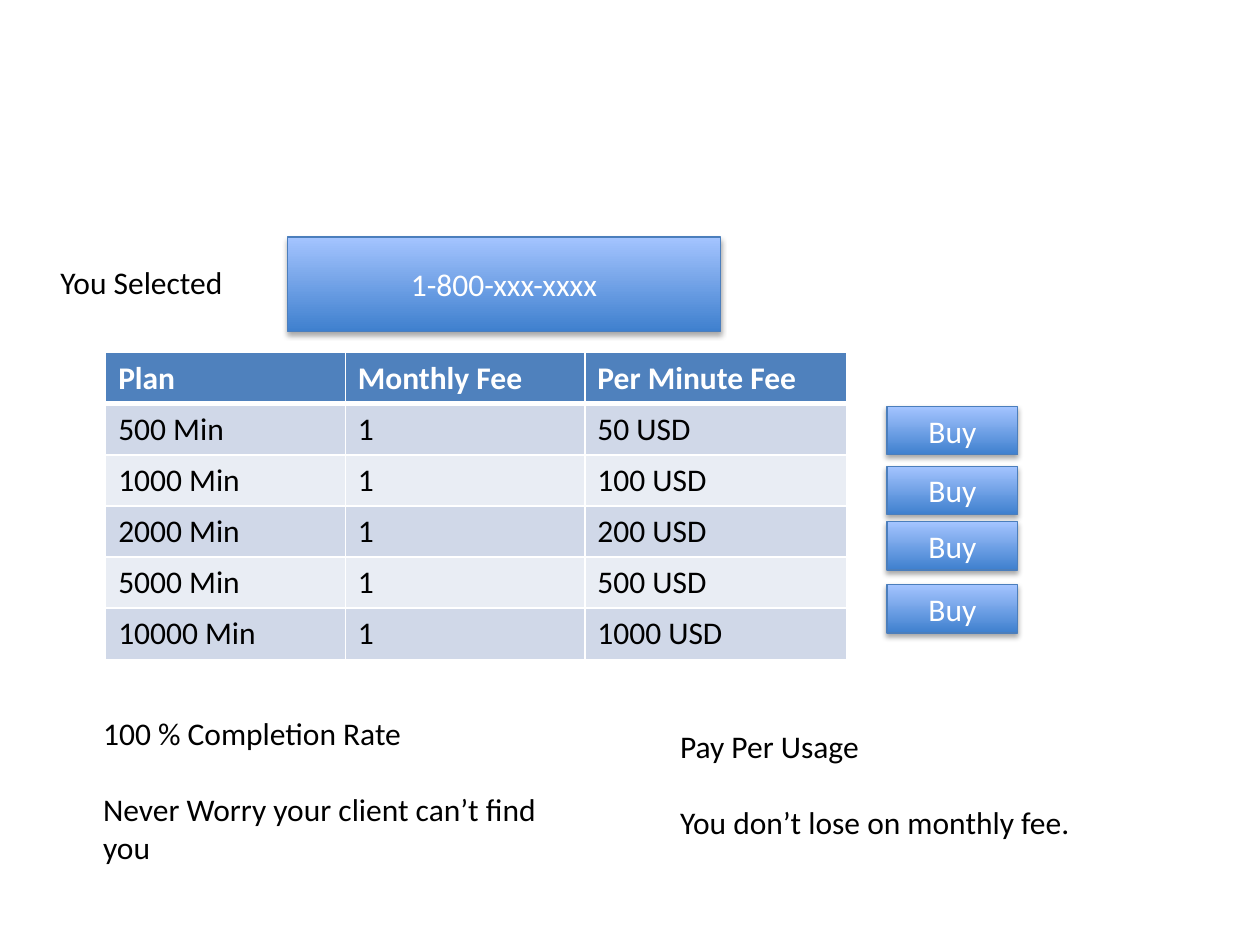
from dataclasses import dataclass

from lxml.etree import SubElement
from pptx import Presentation
from pptx.dml.color import RGBColor
from pptx.enum.shapes import MSO_SHAPE as Preset
from pptx.enum.text import MSO_ANCHOR as Anchor, MSO_AUTO_SIZE as AutoSize, PP_ALIGN as Align
from pptx.oxml import parse_xml
from pptx.oxml.ns import nsdecls, qn
from pptx.slide import Slide
from pptx.util import Cm, Pt


@dataclass(frozen=True)
class Theme:
    """Colours, font and sizes used on the page."""
    font: str = "Calibri"
    size: int = 18
    text: str = "000000"
    light: str = "FFFFFF"
    button_low: str = "3F80CE"
    button_high: str = "A4C4FF"
    button_line: str = "4B7EBC"
    header: str = "4F81BD"
    bands: tuple[str, str] = ("D0D8E8", "E9EDF4")


@dataclass(frozen=True)
class Block:
    """A piece of text with its place in centimetres."""
    text: str
    left: float
    top: float
    width: float
    height: float
    wrap: bool = True


THEME = Theme()
NOTES = [
    Block("You Selected", 0.97, 5.18, 3.86, 1.02, wrap=False),
    Block("100 % Completion Rate\nNever Worry your client can’t find you", 1.83, 14.27, 9.32, 3.33),
    Block("Pay Per Usage\nYou don’t lose on monthly fee.", 13.46, 14.53, 9.32, 2.57),
]
BUTTONS = [Block("1-800-xxx-xxxx", 5.79, 4.78, 8.74, 1.9)] + [
    Block("Buy", 17.88, top, 2.64, 0.97) for top in (8.2, 9.4, 10.52, 11.79)
]
PLANS = [
    ("Plan", "Monthly Fee", "Per Minute Fee"),
    ("500 Min", "1", "50 USD"),
    ("1000 Min", "1", "100 USD"),
    ("2000 Min", "1", "200 USD"),
    ("5000 Min", "1", "500 USD"),
    ("10000 Min", "1", "1000 USD"),
]
COLUMN_WIDTHS = (4.83, 4.83, 5.28)
ROW_HEIGHT = 1.03


def colour(value: str) -> RGBColor:
    """Turn a hex string into a colour."""
    return RGBColor.from_string(value)


def format_text(frame, value: str, bold: bool = False) -> None:
    """Give every run in a text frame the theme font."""
    for para in frame.paragraphs:
        for span in para.runs:
            span.font.name = THEME.font
            span.font.size = Pt(THEME.size)
            span.font.bold = bold
            span.font.color.rgb = colour(value)


def bounds(block: Block) -> tuple:
    """Return left, top, width and height as lengths."""
    return Cm(block.left), Cm(block.top), Cm(block.width), Cm(block.height)


def add_note(page: Slide, block: Block) -> None:
    """Add plain text, with one line of space between paragraphs."""
    frame = page.shapes.add_textbox(*bounds(block)).text_frame
    frame.word_wrap = block.wrap
    frame.auto_size = AutoSize.SHAPE_TO_FIT_TEXT
    frame.text = block.text
    for para in frame.paragraphs[1:]:
        para.space_before = Pt(22)
    format_text(frame, THEME.text)


def add_shadow(shape) -> None:
    """Add a soft shadow straight below a shape."""
    shape.shadow.inherit = False
    effects = shape._element.spPr.find(qn("a:effectLst"))
    shadow = SubElement(effects, qn("a:outerShdw"), blurRad=str(Pt(3.1)),
                        dist=str(Pt(1.8)), dir="5400000", rotWithShape="0")
    tint = SubElement(shadow, qn("a:srgbClr"), val=THEME.text)
    SubElement(tint, qn("a:alpha"), val="35000")


def add_button(page: Slide, block: Block) -> None:
    """Add a gradient button with a centred label."""
    button = page.shapes.add_shape(Preset.RECTANGLE, *bounds(block))
    button.fill.gradient()
    button.fill.gradient_angle = 90
    for stop, value in zip(button.fill.gradient_stops, (THEME.button_low, THEME.button_high)):
        stop.color.rgb = colour(value)
    button.line.color.rgb = colour(THEME.button_line)
    button.line.width = Pt(0.75)
    add_shadow(button)
    frame = button.text_frame
    frame.text = block.text
    frame.vertical_anchor = Anchor.MIDDLE
    frame.paragraphs[0].alignment = Align.CENTER
    format_text(frame, THEME.light)


def set_borders(cell, top: float, bottom: float) -> None:
    """Draw light borders around a table cell, widths in points."""
    properties = cell._tc.get_or_add_tcPr()
    widths = {"lnL": 1, "lnR": 1, "lnT": top, "lnB": bottom}
    for index, (side, width) in enumerate(widths.items()):
        properties.insert(index, parse_xml(
            f'<a:{side} {nsdecls("a")} w="{Pt(width)}"><a:solidFill>'
            f'<a:srgbClr val="{THEME.light}"/></a:solidFill></a:{side}>'))


def add_plans(page: Slide) -> None:
    """Add the price table with a header and banded rows."""
    table = page.shapes.add_table(
        len(PLANS), len(COLUMN_WIDTHS), Cm(2.13), Cm(7.11),
        Cm(sum(COLUMN_WIDTHS)), Cm(ROW_HEIGHT * len(PLANS))).table
    for column, width in zip(table.columns, COLUMN_WIDTHS):
        column.width = Cm(width)
    for number, (row, values) in enumerate(zip(table.rows, PLANS)):
        row.height = Cm(ROW_HEIGHT)
        header = number == 0
        fill = THEME.header if header else THEME.bands[(number - 1) % 2]
        for cell, value in zip(row.cells, values):
            cell.text = value
            cell.fill.solid()
            cell.fill.fore_color.rgb = colour(fill)
            set_borders(cell, top=3 if number == 1 else 1, bottom=3 if header else 1)
            format_text(cell.text_frame, THEME.light if header else THEME.text, bold=header)


def main() -> None:
    """Build and save the deck."""
    deck = Presentation()
    deck.slide_width, deck.slide_height = Cm(25.4), Cm(19.05)
    page = deck.slides.add_slide(deck.slide_layouts.get_by_name("Blank"))
    add_plans(page)
    for button in BUTTONS:
        add_button(page, button)
    for note in NOTES:
        add_note(page, note)
    deck.save("out.pptx")


main()
